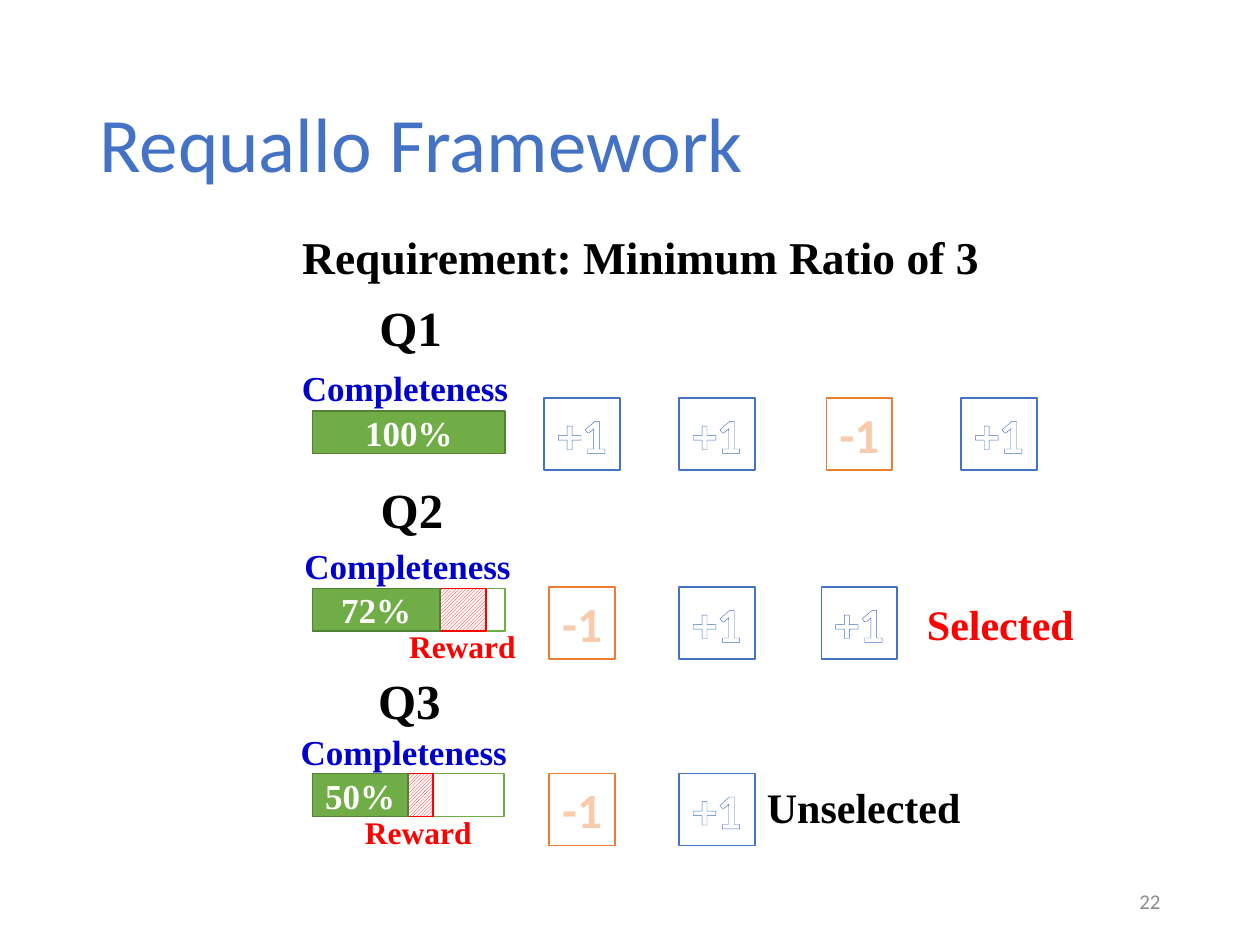
"""Build the Requallo Framework slide: three questions with completeness bars and votes."""
from dataclasses import dataclass

from lxml.etree import SubElement
from pptx import Presentation
from pptx.dml.color import RGBColor
from pptx.enum.dml import MSO_PATTERN
from pptx.enum.shapes import MSO_SHAPE
from pptx.enum.text import MSO_ANCHOR, MSO_AUTO_SIZE, PP_ALIGN
from pptx.oxml.ns import qn
from pptx.util import Inches, Pt


@dataclass(frozen=True)
class Theme:
    sans: str = "Calibri"
    serif: str = "Times New Roman"
    black: str = "000000"
    white: str = "FFFFFF"
    grey: str = "8C8C8C"
    blue: str = "4472C4"
    light_blue: str = "8FAADC"
    orange: str = "ED7D31"
    light_orange: str = "F8CBAD"
    green: str = "70AD47"
    dark_green: str = "538035"
    red: str = "FF0000"
    navy: str = "0000CC"
    title: int = 44
    heading: int = 28
    requirement: int = 26
    verdict: int = 24
    label: int = 20
    reward: int = 18
    number: int = 12


T = Theme()
rgb = RGBColor.from_string
prs = Presentation()
prs.slide_width, prs.slide_height = Inches(10), Inches(7.5)
s = prs.slides.add_slide(prs.slide_layouts[6])
CELL = prs.slide_width / 100
BAR_LEFT, BAR_HEIGHT = 24.8, 3.4
TILE_CENTRES = (46.2, 56.9, 68.2, 79.3)


def write(sp, text, size, color, font=T.serif, bold=True, align=PP_ALIGN.CENTER,
          anchor=MSO_ANCHOR.TOP, wrap=False):
    tf = sp.text_frame
    tf.text = text
    tf.word_wrap, tf.vertical_anchor, tf.auto_size = wrap, anchor, MSO_AUTO_SIZE.NONE
    p = tf.paragraphs[0]
    p.alignment = align
    r = p.runs[0]
    r.font.name, r.font.size, r.font.bold = font, Pt(size), bold
    r.font.color.rgb = rgb(color)
    return r


def block(col, row, cols, rows, line=None, fill=T.white, hatched=False):
    box = [round(n * CELL) for n in (col, row, cols, rows)]
    if line is None:
        return s.shapes.add_textbox(*box)
    sp = s.shapes.add_shape(MSO_SHAPE.RECTANGLE, *box)
    sp.shadow.inherit = False
    if hatched:
        sp.fill.patterned()
        sp.fill.pattern = MSO_PATTERN.LIGHT_UPWARD_DIAGONAL
        sp.fill.fore_color.rgb, sp.fill.back_color.rgb = rgb(line), rgb(fill)
    else:
        sp.fill.solid()
        sp.fill.fore_color.rgb = rgb(fill)
    sp.line.color.rgb, sp.line.width = rgb(line), Pt(1)
    return sp


r = write(block(6.9, 4, 86.2, 14.5), "Requallo Framework", T.title, T.blue, T.sans,
          False, PP_ALIGN.LEFT, MSO_ANCHOR.MIDDLE, True)
write(block(70.6, 69.5, 22.5, 4), "22", T.number, T.grey, T.sans,
      False, PP_ALIGN.RIGHT, MSO_ANCHOR.MIDDLE, True)
write(block(23, 17.7, 63.1, 5.4), "Requirement: Minimum Ratio of 3", T.requirement,
      T.black, align=PP_ALIGN.LEFT, wrap=True)

questions = [
    ("Q1", (29.1, 23.1), (22.9, 28.6), 32.6, "100%", (15.3,), 31.6, ("+1", "+1", "-1", "+1")),
    ("Q2", (29.2, 37.6), (23.1, 42.7), 46.7, "72%", (10.1, 3.7, 1.5), 46.6, ("-1", "+1", "+1")),
    ("Q3", (29, 52.7), (22.8, 57.5), 61.4, "50%", (7.6, 2, 5.6), 61.4, ("-1", "+1")),
]
bar_styles = [(T.dark_green, T.green, False), (T.red, T.white, True), (T.green, T.white, False)]

for name, name_at, label_at, bar_top, share, widths, tile_top, votes in questions:
    write(block(*name_at, 7, 5.7), name, T.heading, T.black)
    write(block(*label_at, 18.5, 4.4), "Completeness", T.label, T.navy)

    for i in reversed(range(len(widths))):
        line, fill, hatched = bar_styles[i]
        sp = block(BAR_LEFT + sum(widths[:i]), bar_top, widths[i], BAR_HEIGHT,
                   line, fill, hatched)
    write(sp, share, T.label, T.white, anchor=MSO_ANCHOR.MIDDLE)

    for centre, vote in zip(TILE_CENTRES, votes):
        agrees = vote == "+1"
        width, color, stroke = (6, T.blue, 1) if agrees else (5.2, T.orange, 1.75)
        sp = block(centre - width / 2, tile_top, width, 5.7, color)
        r = write(sp, vote, T.heading, T.light_orange, T.sans)
        if agrees:
            fill = r.font.fill
            fill.patterned()
            fill.pattern = MSO_PATTERN.LIGHT_DOWNWARD_DIAGONAL
            fill.fore_color.rgb, fill.back_color.rgb = rgb(T.light_blue), rgb(T.white)
        rPr = r.font.fill._xPr
        ln = SubElement(rPr, qn("a:ln"), w=str(Pt(stroke)))
        SubElement(SubElement(ln, qn("a:solidFill")), qn("a:srgbClr"), val=color)
        rPr.insert(0, ln)

for text, at, size, color in [
    ("Reward", (31.4, 49.3, 10.6, 4), T.reward, T.red),
    ("Reward", (27.9, 64, 10.6, 4), T.reward, T.red),
    ("Selected", (72.5, 47, 13.8, 5), T.verdict, T.red),
    ("Unselected", (59.8, 61.5, 17.5, 5), T.verdict, T.black),
]:
    write(block(*at), text, size, color)

prs.save("out.pptx")
